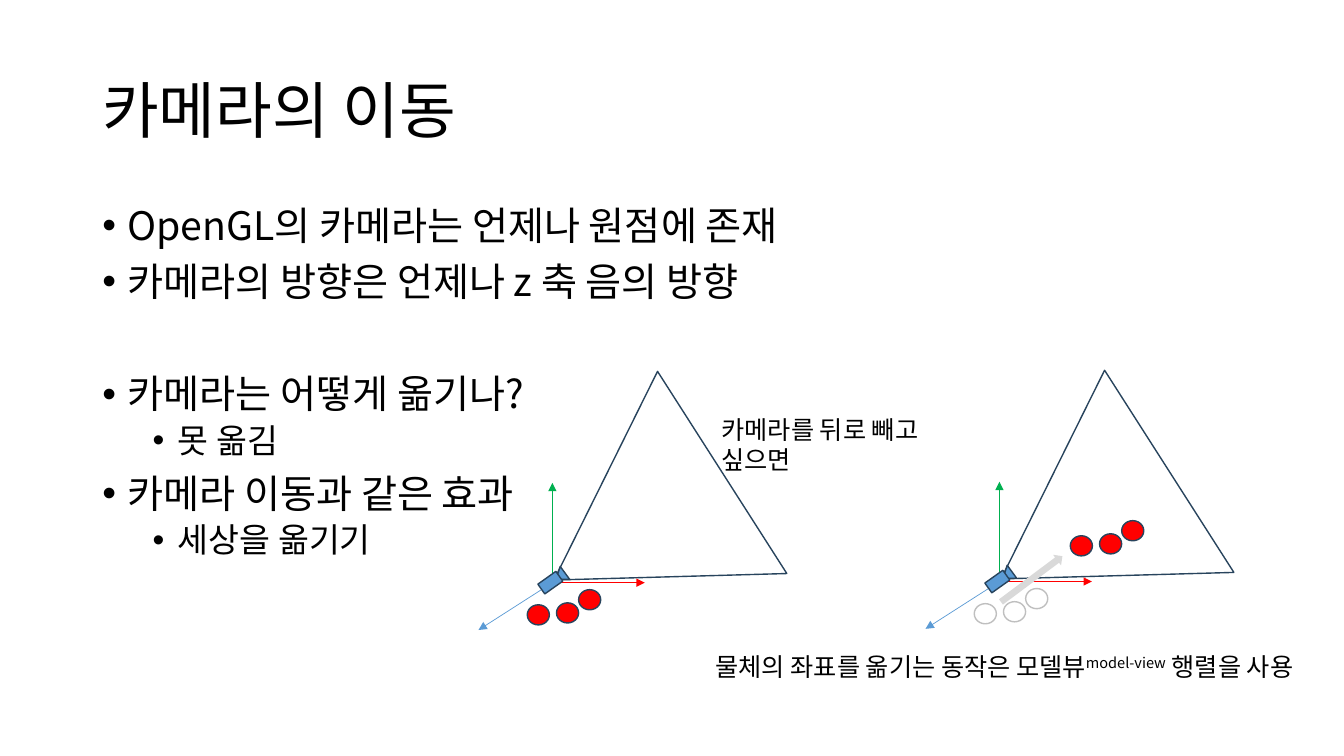
import pptx
import pptx.util
import pptx.dml.color
import pptx.enum.shapes
import pptx.enum.text
import pptx.oxml
import pptx.oxml.ns
import lxml.etree

Pt = pptx.util.Pt
qn = pptx.oxml.ns.qn
KIND = pptx.enum.shapes.MSO_SHAPE

# Content
FONT = "Noto Sans CJK KR"
COLORS = {"text": "000000", "outline": "28445D", "camera": "5B9BD5", "ball": "FF0000",
          "x": "FF0000", "y": "00B050", "z": "5B9BD5", "ghost": "BFBFBF", "move": "D9D9D9"}
TITLE = "카메라의 이동"
BULLETS = [  # text, level, space before
    ("OpenGL의 카메라는 언제나 원점에 존재", 0, 10),
    ("카메라의 방향은 언제나 z 축 음의 방향", 0, 10),
    ("카메라는 어떻게 옮기나?", 0, 50),
    ("못 옮김", 1, 5),
    ("카메라 이동과 같은 효과", 0, 10),
    ("세상을 옮기기", 1, 5),
]
LEVELS = [(28, 18), (24, 54)]  # size, left margin
CAPTIONS = [  # box, runs as (text, superscript)
    ((508.3, 292.3, 205.2, 28.8), [("카메라를 뒤로 빼고 싶으면", False)]),
    ((504, 461.5, 430.6, 28.8), [("물체의 좌표를 옮기는 동작은 모델뷰", False),
                                 ("model-view", True), (" 행렬을 사용", False)]),
]

# Scene geometry, measured from the origin of the axes
ORIGINS = {"before": (394.6, 416.2), "after": (713.9, 415.4)}
AXES = {"x": (66, 0), "y": (0, -71.3), "z": (-52.8, 33.8)}
FRUSTUM = (-24.5, -111.6, 171.4, 142.6)
LENS = (0, -8.6, 11.5, 7.9)
CAMERA_BODY = (-9.4, -4.3, 15.8, 8.6)
MOVE_ARROW = (-4.3, -6.5, 54.7, 9.4)
BALLS = [(18.7, 5), (2.9, 14.4), (-18, 15.8)]
BALL_SIZE = (15.8, 14.4)
BALL_SHIFT = (68.6, -48.5)

presentation = pptx.Presentation()
presentation.slide_width, presentation.slide_height = Pt(960), Pt(540)
slide = presentation.slides.add_slide(presentation.slide_layouts[6])


def rgb(name):
    return pptx.dml.color.RGBColor.from_string(COLORS[name])


def add_text_box(box):
    frame = slide.shapes.add_textbox(*map(Pt, box)).text_frame
    frame.word_wrap = True
    return frame


def style_paragraph(paragraph, size):
    font = paragraph.font
    font.size = Pt(size)
    font.color.rgb = rgb("text")
    font.name = FONT
    properties = paragraph._p.get_or_add_pPr().find(qn("a:defRPr"))
    lxml.etree.SubElement(properties, qn("a:ea")).set("typeface", FONT)


def add_bullet(paragraph, margin):
    properties = paragraph._p.get_or_add_pPr()
    properties.set("marL", str(Pt(margin)))
    properties.set("indent", str(Pt(-18)))
    lxml.etree.SubElement(properties, qn("a:buFont")).set("typeface", "Arial")
    lxml.etree.SubElement(properties, qn("a:buChar")).set("char", "•")


def add_part(shapes, kind, origin, box, rotation=0, fill=None, line="outline"):
    left, top, width, height = box
    shape = shapes.add_shape(kind, Pt(origin[0] + left), Pt(origin[1] + top),
                             Pt(width), Pt(height))
    shape.shadow.inherit = False
    shape.rotation = rotation
    if fill:
        shape.fill.solid()
        shape.fill.fore_color.rgb = rgb(fill)
    else:
        shape.fill.background()
    if line:
        shape.line.color.rgb = rgb(line)
        shape.line.width = Pt(1)
    else:
        shape.line.fill.background()


def add_axis(origin, name):
    x, y = origin
    dx, dy = AXES[name]
    axis = slide.shapes.add_connector(pptx.enum.shapes.MSO_CONNECTOR.STRAIGHT,
                                      Pt(x), Pt(y), Pt(x + dx), Pt(y + dy))
    axis.line.color.rgb = rgb(name)
    axis.line.width = Pt(0.5)
    line = axis.line._get_or_add_ln()
    lxml.etree.SubElement(line, qn("a:tailEnd")).set("type", "triangle")
    lxml.etree.SubElement(axis._element.spPr, qn("a:effectLst"))


def add_balls(origin, shift=(0, 0), fill="ball", line="outline"):
    for left, top in BALLS:
        box = (left + shift[0], top + shift[1], *BALL_SIZE)
        add_part(slide.shapes, KIND.OVAL, origin, box, 0, fill, line)


def add_camera_view(origin):
    add_part(slide.shapes, KIND.ISOSCELES_TRIANGLE, origin, FRUSTUM, 237.4)
    for name in AXES:
        add_axis(origin, name)
    camera = slide.shapes.add_group_shape().shapes
    add_part(camera, KIND.ISOSCELES_TRIANGLE, origin, LENS, 233.7, "camera")
    add_part(camera, KIND.RECTANGLE, origin, CAMERA_BODY, 324.6, "camera")


# Title
frame = add_text_box((66, 28.8, 828, 104.4))
frame.vertical_anchor = pptx.enum.text.MSO_ANCHOR.MIDDLE
paragraph = frame.paragraphs[0]
paragraph.text = TITLE
paragraph.line_spacing = 0.9
style_paragraph(paragraph, 44)

# Bullets
frame = add_text_box((66, 143.8, 828, 342.6))
for index, (text, level, space) in enumerate(BULLETS):
    paragraph = frame.add_paragraph() if index else frame.paragraphs[0]
    size, margin = LEVELS[level]
    paragraph.text = text
    paragraph.level = level
    paragraph.line_spacing = 0.9
    paragraph.space_before = Pt(space)
    add_bullet(paragraph, margin)
    style_paragraph(paragraph, size)

# Scenes before and after the move
add_camera_view(ORIGINS["before"])
add_balls(ORIGINS["before"])
add_camera_view(ORIGINS["after"])
add_balls(ORIGINS["after"], fill=None, line="ghost")
add_balls(ORIGINS["after"], BALL_SHIFT)
add_part(slide.shapes, KIND.RIGHT_ARROW, ORIGINS["after"], MOVE_ARROW, 323.3, "move", None)

# Captions
for box, runs in CAPTIONS:
    paragraph = add_text_box(box).paragraphs[0]
    for text, superscript in runs:
        run = paragraph.add_run()
        run.text = text
        if superscript:
            run._r.get_or_add_rPr().set("baseline", "30000")
    style_paragraph(paragraph, 18)

presentation.save("out.pptx")
